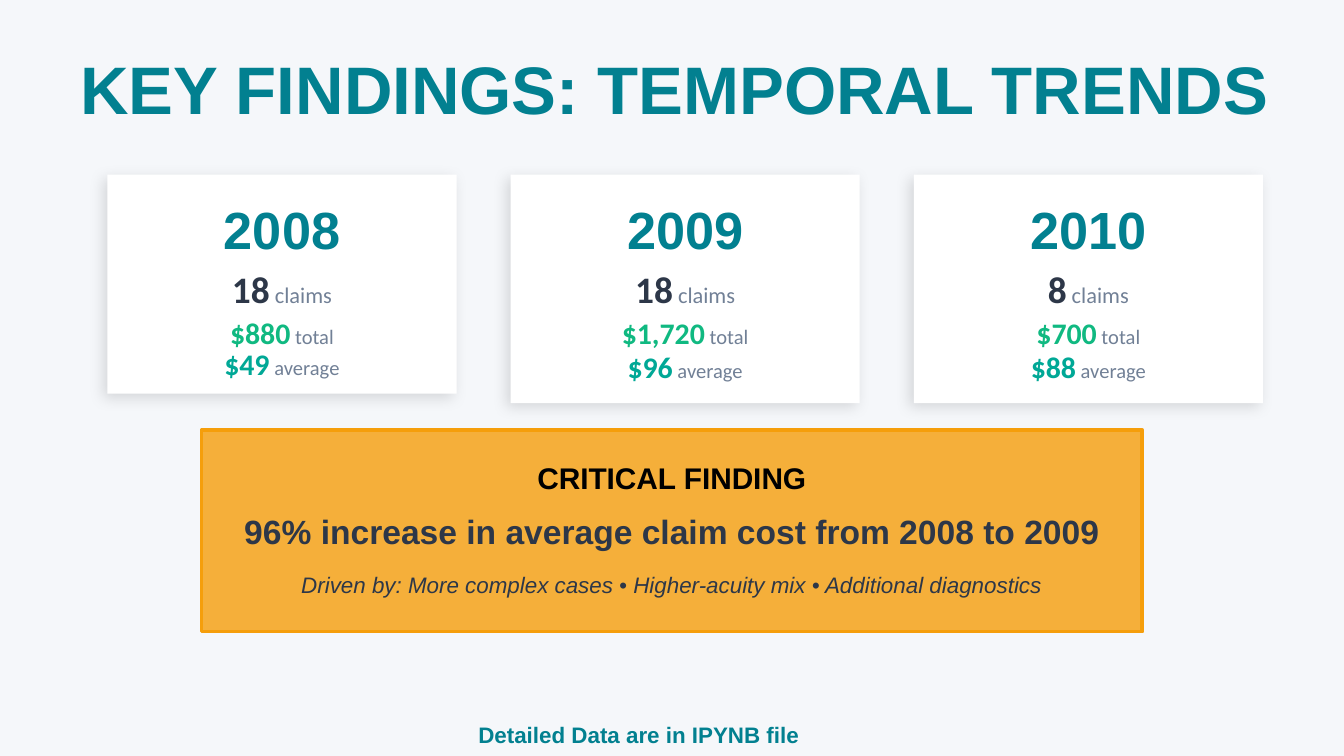
from lxml import etree
from pptx import Presentation
from pptx import util as u
from pptx.dml.color import RGBColor
from pptx.enum import shapes, text
from pptx.oxml.ns import qn

COLORS = {
    "bg": "F5F7FA", "teal": "028090", "mint": "00A896", "green": "10B981",
    "ink": "2D3748", "muted": "718096", "card": "FFFFFF", "amber": "F59E0B",
    "black": "000000",
}


def rgb(name):
    return RGBColor.from_string(COLORS[name])


def style(font, name, size, color, bold=False, italic=False):
    font.name, font.size = name, u.Pt(size)
    font.bold, font.italic = bold, italic
    font.color.rgb = rgb(color)


def add_text(s, box, align=text.PP_ALIGN.CENTER):
    """Add a middle-anchored text box and return its paragraph."""
    tf = s.shapes.add_textbox(*(u.Cm(v) for v in box)).text_frame
    tf.word_wrap = True
    tf.vertical_anchor = text.MSO_ANCHOR.MIDDLE
    p = tf.paragraphs[0]
    p.alignment = align
    return p


def add_line(s, box, content, size, color, align=text.PP_ALIGN.CENTER, bold=True, italic=False):
    p = add_text(s, box, align)
    p.add_run().text = content
    style(p.font, "Arial", size, color, bold, italic)


def add_metric(s, box, value, label, size, label_size, color):
    p = add_text(s, box)
    for content, pt, c, bold in ((value, size, color, True),
                                 (f" {label}", label_size, "muted", False)):
        r = p.add_run()
        r.text = content
        style(r.font, "Calibri", pt, c, bold)


def add_panel(s, box, fill):
    sp = s.shapes.add_shape(shapes.MSO_SHAPE.RECTANGLE, *(u.Cm(v) for v in box))
    sp.shadow.inherit = False
    sp.fill.solid()
    sp.fill.fore_color.rgb = rgb(fill)
    sp.line.fill.background()
    return sp


def set_alpha(color_el, percent):
    etree.SubElement(color_el, qn("a:alpha"), val=str(percent * 1000))


def add_shadow(sp):
    effects = sp.element.spPr.find(qn("a:effectLst"))
    shadow = etree.SubElement(effects, qn("a:outerShdw"), blurRad=str(u.Pt(8)),
                              dist=str(u.Pt(3)), dir=str(135 * 60000),
                              algn="bl", rotWithShape="0")
    set_alpha(etree.SubElement(shadow, qn("a:srgbClr"), val=COLORS["black"]), 12)


def year_card(s, box, average_top, year, claims, total, average):
    x, y, w, h = box
    add_shadow(add_panel(s, box, "card"))
    add_line(s, (x, y + 0.51, w, 1.02), year, 28, "teal")
    add_metric(s, (x, y + 1.78, w, 0.76), claims, "claims", 20, 12, "ink")
    add_metric(s, (x, y + 2.67, w, 0.64), total, "total", 16, 11, "green")
    add_metric(s, (x, y + average_top, w, 0.64), average, "average", 16, 11, "mint")


def critical_finding(s, box):
    x, y, w, h = box
    sp = add_panel(s, box, "amber")
    set_alpha(sp.element.spPr.find(qn("a:solidFill"))[0], 80)
    sp.line.color.rgb = rgb("amber")
    sp.line.width = u.Pt(2)
    add_line(s, (x, y + 0.51, w, 0.76), "CRITICAL FINDING", 16, "black")
    add_line(s, (x, y + 1.4, w, 1.02),
             "96% increase in average claim cost from 2008 to 2009", 18, "ink")
    add_line(s, (x, y + 2.54, w, 0.76),
             "Driven by: More complex cases • Higher-acuity mix • Additional diagnostics",
             12, "ink", bold=False, italic=True)


def main():
    prs = Presentation()
    prs.slide_width, prs.slide_height = u.Cm(25.4), u.Cm(14.29)
    s = prs.slides.add_slide(prs.slide_layouts[6])
    s.background.fill.solid()
    s.background.fill.fore_color.rgb = rgb("bg")

    # Title
    add_line(s, (1.27, 1.02, 24.38, 1.27), "KEY FINDINGS: TEMPORAL TRENDS",
             36, "teal", text.PP_ALIGN.LEFT)

    # Year cards: height, top of the average row, then the figures
    cards = (
        (4.14, 3.25, "2008", "18", "$880", "$49"),
        (4.32, 3.3, "2009", "18", "$1,720", "$96"),
        (4.32, 3.3, "2010", "8", "$700", "$88"),
    )
    for i, (height, average_top, *figures) in enumerate(cards):
        year_card(s, (2.03 + i * 7.62, 3.3, 6.6, height), average_top, *figures)

    # Critical finding
    critical_finding(s, (3.81, 8.13, 17.78, 3.81))

    # Footer note
    add_line(s, (8.79, 13.26, 7.49, 1.27), "Detailed Data are in IPYNB file",
             12, "teal", text.PP_ALIGN.LEFT)

    prs.save("out.pptx")


if __name__ == "__main__":
    main()
